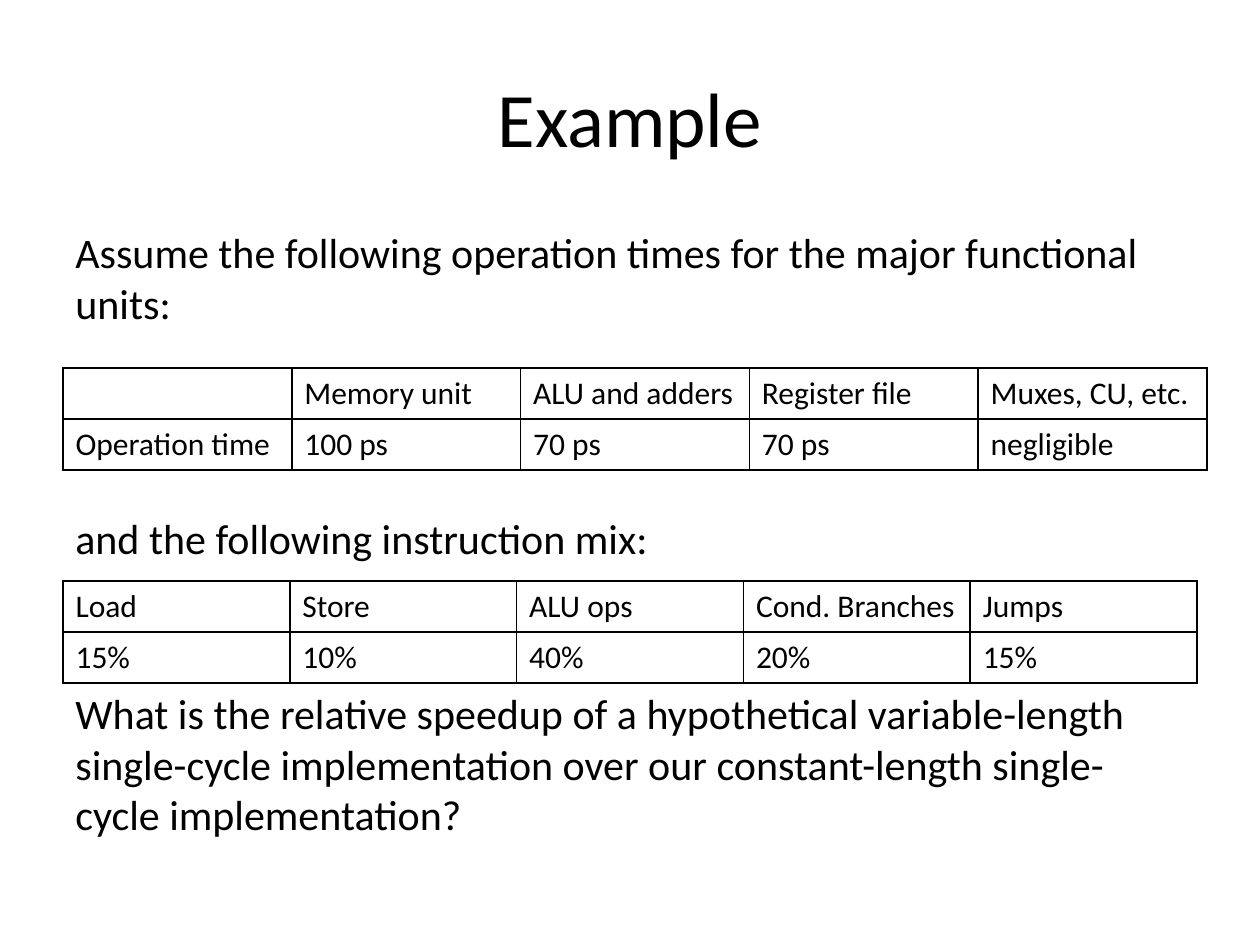
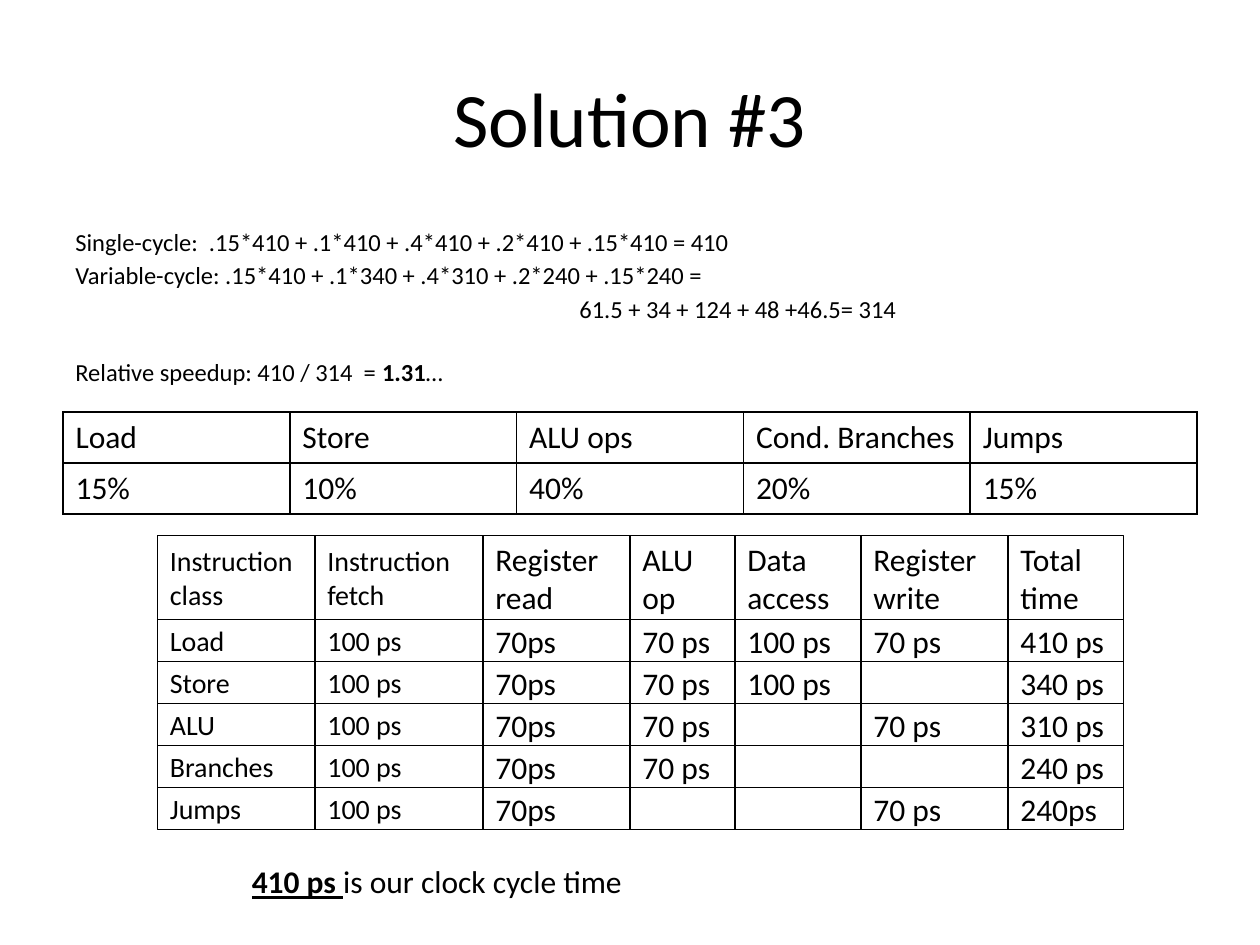
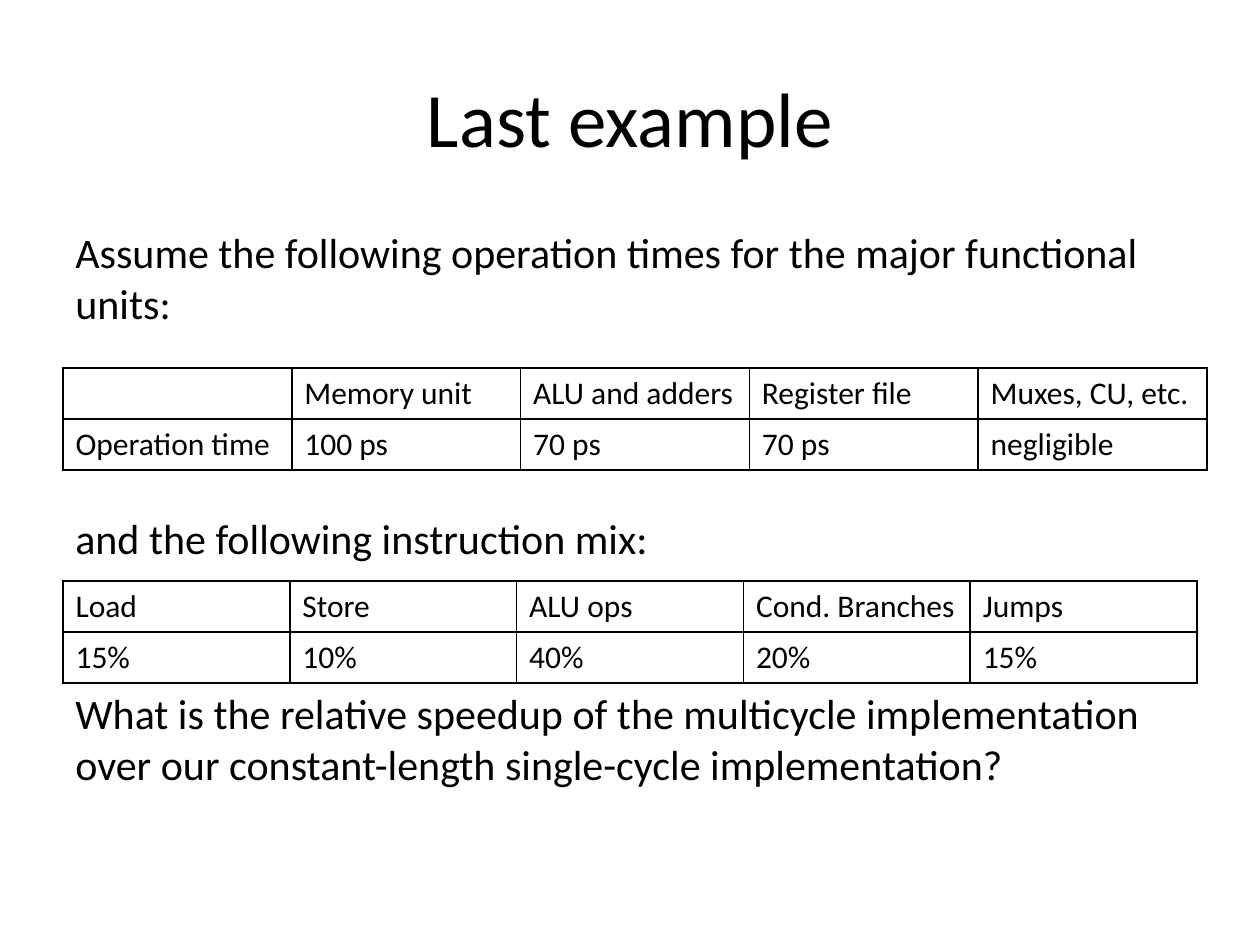
from itertools import accumulate

from lxml import etree
from pptx import Presentation, util as u
from pptx.dml.color import RGBColor
from pptx.enum import shapes, text
from pptx.oxml.ns import qn

Inches = u.Inches
FONT = "Calibri"
HUES = {"ink": "000000"}
INK = RGBColor.from_string(HUES["ink"])

UNITS = [
    ["", "Memory unit", "ALU and adders", "Register file", "Muxes, CU, etc."],
    ["Operation time", "100 ps", "70 ps", "70 ps", "negligible"],
]
MIX = [
    ["Load", "Store", "ALU ops", "Cond. Branches", "Jumps"],
    ["15%", "10%", "40%", "20%", "15%"],
]
STEPS = [
    ["Instruction class", "Instruction fetch", "Register read", "ALU op",
     "Data access", "Register write", "Total time"],
    ["Load", "100 ps", "70ps", "70 ps", "100 ps", "70 ps", "410 ps"],
    ["Store", "100 ps", "70ps", "70 ps", "100 ps", "", "340 ps"],
    ["ALU", "100 ps", "70ps", "70 ps", "", "70 ps", "310 ps"],
    ["Branches", "100 ps", "70ps", "70 ps", "", "", "240 ps"],
    ["Jumps", "100 ps", "70ps", "", "", "70 ps", "240ps"],
]


def write(frame, *paras, size=18, align=None, anchor="TOP", gaps=(), dents=()):
    """Fill a frame with paragraphs, each a string or a list of (string, bold, underline)."""
    frame.word_wrap = True
    frame.vertical_anchor = getattr(text.MSO_ANCHOR, anchor)
    for i, runs in enumerate(paras):
        para = frame.paragraphs[0] if i == 0 else frame.add_paragraph()
        para.alignment = align
        para.space_before = u.Pt(gaps[i] if gaps else 0)
        if dents:
            para._p.get_or_add_pPr().set("marL", str(Inches(dents[i])))
        for words, bold, under in [(runs, False, False)] if isinstance(runs, str) else runs:
            run = para.add_run()
            run.text = words
            font = run.font
            font.name, font.size, font.bold, font.underline = FONT, u.Pt(size), bold, under
            font.color.rgb = INK


def start(deck, title):
    """Add a slide with its formatted title."""
    slide = deck.slides.add_slide(deck.slide_layouts[5])
    head = slide.shapes.title
    head.left, head.top, head.width, head.height = map(Inches, (0.5, 0.3, 9, 1.25))
    write(head.text_frame, title, size=44, align=text.PP_ALIGN.CENTER, anchor="MIDDLE")
    return slide


def block(slide, box, *paras, **form):
    """Add a text box."""
    write(slide.shapes.add_textbox(*map(Inches, box)).text_frame, *paras, **form)


def edge(cell):
    """Draw the four borders of a table cell."""
    props = cell._tc.get_or_add_tcPr()
    for side in ("lnL", "lnR", "lnT", "lnB"):
        line = etree.SubElement(props, qn("a:" + side), w=str(u.Pt(1)))
        fill = etree.SubElement(line, qn("a:solidFill"))
        etree.SubElement(fill, qn("a:srgbClr"), val=HUES["ink"])


def table(slide, box, rows):
    """Add a plain ruled table with equal columns."""
    grid = slide.shapes.add_table(len(rows), len(rows[0]), *map(Inches, box)).table
    grid.first_row = grid.horz_banding = False
    for r, row in enumerate(rows):
        for c, words in enumerate(row):
            cell = grid.cell(r, c)
            edge(cell)
            cell.fill.background()
            if words:
                write(cell.text_frame, words)


def steps(slide, left, top):
    """Lay out the timing grid in twelfths of an inch."""
    wides, highs = (15, 16, 14, 10, 12, 14, 11), (8, 4, 4, 4, 4, 4)
    lefts, tops = (list(accumulate(s, initial=0)) for s in (wides, highs))
    for r, row in enumerate(STEPS):
        for c, words in enumerate(row):
            box = (left + lefts[c] / 12, top + tops[r] / 12, wides[c] / 12, highs[r] / 12)
            tile = slide.shapes.add_shape(shapes.MSO_SHAPE.RECTANGLE, *map(Inches, box))
            tile.shadow.inherit = False
            tile.fill.background()
            tile.line.color.rgb = INK
            tile.line.width = u.Pt(0.75)
            if words:
                write(tile.text_frame, words, size=16 if c < 2 else 18,
                      align=text.PP_ALIGN.LEFT, anchor="MIDDLE")


def task(deck, title, query):
    """Build a problem slide: given times, given mix and the question."""
    slide = start(deck, title)
    block(slide, (0.5, 1.75, 9, 5.17),
          "Assume the following operation times for the major functional units:",
          "and the following instruction mix:", query,
          size=24, gaps=(0, 105.5, 71.5))
    table(slide, (0.5, 2.92, 9.08, 0.81), UNITS)
    table(slide, (0.5, 4.61, 9, 0.81), MIX)


def answer(deck):
    """Build the solution slide."""
    slide = start(deck, "Solution #3")
    steps(slide, 1.25, 4.25)
    table(slide, (0.5, 3.27, 9, 0.81), MIX)
    block(slide, (1.9, 6.83, 4.94, 0.33),
          [("410 ps ", True, True), ("is our clock cycle time", False, False)],
          anchor="MIDDLE")
    block(slide, (0.5, 1.75, 9, 1.33),
          "Single-cycle:  .15*410 + .1*410 + .4*410 + .2*410 + .15*410 = 410",
          "Variable-cycle: .15*410 + .1*340 + .4*310 + .2*240 + .15*240 = ",
          "61.5 + 34 + 124 + 48 +46.5= 314",
          [("Relative speedup: 410 / 314  = ", False, False),
           ("1.31", True, False), ("…", False, False)],
          size=14, gaps=(0, 2.4, 2.4, 19.5), dents=(0, 0, 4, 0))


def main():
    """Build and save the deck."""
    deck = Presentation()
    deck.slide_width, deck.slide_height = Inches(10), Inches(7.5)
    task(deck, "Example",
         "What is the relative speedup of a hypothetical variable-length single-cycle "
         "implementation over our constant-length single-cycle implementation?")
    answer(deck)
    task(deck, "Last example",
         "What is the relative speedup of the multicycle implementation over our "
         "constant-length single-cycle implementation?")
    deck.save("out.pptx")


main()
